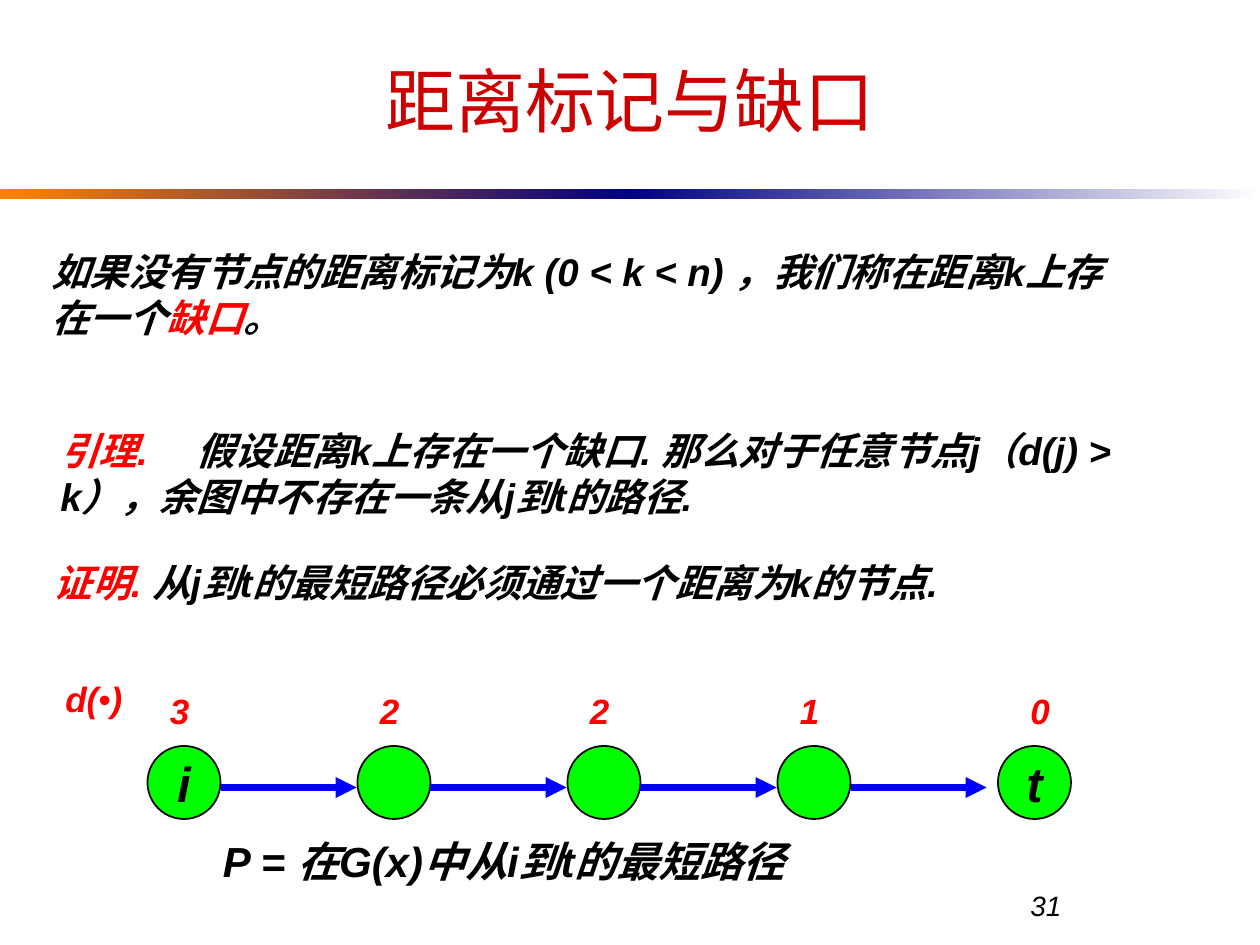
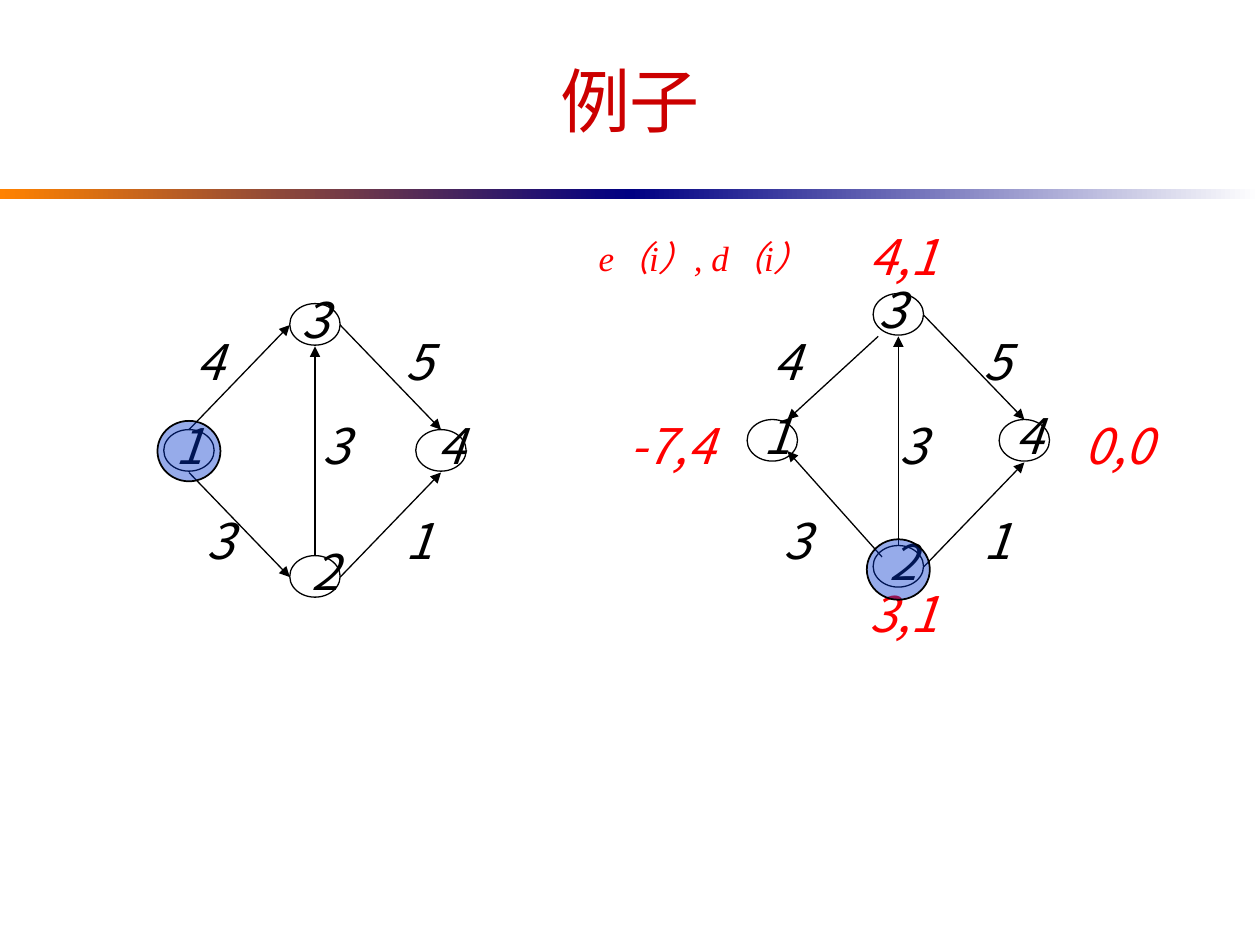
from lxml import etree
from pptx import Presentation
from pptx.dml.color import RGBColor
from pptx.enum.shapes import MSO_CONNECTOR, MSO_SHAPE
from pptx.enum.text import MSO_ANCHOR, PP_ALIGN
from pptx.oxml.ns import qn
from pptx.util import Inches, Pt

BLACK = RGBColor(0x00, 0x00, 0x00)
WHITE = RGBColor(0xFF, 0xFF, 0xFF)
RED = RGBColor(0xFF, 0x00, 0x00)
TITLE_RED = RGBColor(0xCC, 0x00, 0x00)
ORANGE = RGBColor(0xFF, 0x82, 0x00)
NAVY = RGBColor(0x00, 0x00, 0x82)
GREEN = RGBColor(0x00, 0xFF, 0x00)
BLUE = RGBColor(0x00, 0x00, 0xFF)
ACTIVE_BLUE = RGBColor(0x00, 0x33, 0xCC)

LATIN = "Arial"
CJK = "Noto Sans CJK SC"
SERIF = "Times New Roman"

SHARED_EDGES = [((0.2, 1), (1, 0.17)), ((0.2, -1), (1, -0.17)), ((0, 0.83), (0, -0.83))]
CAPACITIES = [("4", 1.42, 2.58), ("5", 3.08, 2.58), ("3", 1.5, 4), ("1", 3.08, 4), ("3", 2.42, 3.25)]


def add_run(paragraph, text, size, color=BLACK, bold=False, italic=True, face=LATIN):
    """Append one formatted run to a paragraph."""
    run = paragraph.add_run()
    run.text = text
    font = run.font
    font.size, font.bold, font.italic, font.name = Pt(size), bold, italic, face
    font.color.rgb = color
    east_asian = etree.SubElement(run.font._element, qn("a:ea"))
    east_asian.set("typeface", CJK)


def add_text(slide, left, top, width, height, runs, size, align=PP_ALIGN.LEFT,
             anchor=MSO_ANCHOR.TOP, tab=None, **style):
    """Place a wrapped text box holding one paragraph of (text, overrides) runs."""
    box = slide.shapes.add_textbox(Inches(left), Inches(top), Inches(width), Inches(height))
    frame = box.text_frame
    frame.word_wrap = True
    frame.vertical_anchor = anchor
    paragraph = frame.paragraphs[0]
    paragraph.alignment = align
    if tab:
        stops = etree.SubElement(paragraph._p.get_or_add_pPr(), qn("a:tabLst"))
        etree.SubElement(stops, qn("a:tab"), pos=str(Inches(tab)), algn="l")
    for text, overrides in runs:
        add_run(paragraph, text, size, **{**style, **overrides})


def add_band(slide, left, start, end):
    """Draw one half of the gradient rule below the title."""
    band = slide.shapes.add_shape(MSO_SHAPE.RECTANGLE, Inches(left), Inches(1.5), Inches(5), Inches(0.08))
    band.shadow.inherit = False
    band.line.fill.background()
    band.fill.gradient()
    band.fill.gradient_angle = 0
    for stop, color, position in zip(band.fill.gradient_stops, (start, end), (0, 1)):
        stop.color.rgb = color
        stop.position = position


def add_titled_slide(prs, title):
    """Add a blank slide with the shared rule and title."""
    slide = prs.slides.add_slide(prs.slide_layouts[6])
    add_band(slide, 0, ORANGE, NAVY)
    add_band(slide, 5, NAVY, WHITE)
    add_text(slide, 0.5, 0.25, 9, 1.08, [(title, {})], 40, PP_ALIGN.CENTER,
             MSO_ANCHOR.MIDDLE, color=TITLE_RED, italic=False)
    return slide


def add_node(slide, left, top, width, height, fill, line_width, label="", alpha=None):
    """Draw a graph node, optionally labelled or translucent."""
    node = slide.shapes.add_shape(MSO_SHAPE.OVAL, Inches(left), Inches(top), Inches(width), Inches(height))
    node.shadow.inherit = False
    node.fill.solid()
    node.fill.fore_color.rgb = fill
    node.line.color.rgb = BLACK
    node.line.width = Pt(line_width)
    if alpha:
        color = node._element.spPr.find(qn("a:solidFill"))[0]
        etree.SubElement(color, qn("a:alpha"), val=str(alpha * 1000))
    if label:
        frame = node.text_frame
        frame.word_wrap = False
        frame.vertical_anchor = MSO_ANCHOR.MIDDLE
        frame.paragraphs[0].alignment = PP_ALIGN.CENTER
        add_run(frame.paragraphs[0], label, 28, bold=True)


def add_arrow(slide, start, end, color, width):
    """Draw a straight arrow between two points in inches."""
    arrow = slide.shapes.add_connector(MSO_CONNECTOR.STRAIGHT, *map(Inches, (*start, *end)))
    arrow.line.color.rgb = color
    arrow.line.width = Pt(width)
    etree.SubElement(arrow.line._get_or_add_ln(), qn("a:tailEnd"), type="triangle")
    etree.SubElement(arrow._element.spPr, qn("a:effectLst"))


def add_number(slide, text, left, top, width=0.5, color=BLACK):
    """Place a centred graph number."""
    add_text(slide, left, top, width, 0.57, [(text, {})], 28, PP_ALIGN.CENTER, color=color, face=CJK)


def add_diamond_graph(slide, center, edges, node_numbers, capacity_shift):
    """Draw a four-node diamond with its edges, node numbers and capacities."""
    center_x, center_y = center
    for dx, dy in ((0, -1), (-1, 0), (1, 0), (0, 1)):
        add_node(slide, center_x + dx - 0.2, center_y + dy - 0.17, 0.4, 0.33, WHITE, 0.75)
    for edge in SHARED_EDGES + edges:
        start, end = [(center_x + dx, center_y + dy) for dx, dy in edge]
        add_arrow(slide, start, end, BLACK, 0.75)
    for number, left, top in node_numbers:
        add_number(slide, number, left, top)
    for capacity, left, top in CAPACITIES:
        add_number(slide, capacity, left + capacity_shift, top)


def build_gap_slide(prs):
    """Build the slide on distance labels and gaps."""
    slide = add_titled_slide(prs, "距离标记与缺口")
    red = {"color": RED}
    add_text(slide, 8.08, 7, 1.92, 0.5, [("31", {})], 16)
    add_text(slide, 0.31, 1.92, 8.83, 0.84,
             [("如果没有节点的距离标记为k (0 < k < n) ，我们称在距离k上存在一个", {}),
              ("缺口", red), ("。", {})], 22, bold=True)
    add_text(slide, 0.38, 3.34, 8.65, 0.84,
             [("引理.\t", red),
              ("假设距离k上存在一个缺口. 那么对于任意节点j（d(j) > k），余图中不存在一条从j到t的路径.", {})],
             22, tab=1.08, bold=True)
    add_text(slide, 0.33, 4.39, 8.83, 0.47,
             [("证明. ", red), ("从j到t的最短路径必须通过一个距离为k的节点.", {})], 22, bold=True)

    node_lefts = [1.17 + 5 / 3 * step for step in range(4)] + [7.92]
    label_lefts = [left + 0.08 for left in node_lefts[:4]] + [8.08]
    for left, label_left, name, distance in zip(node_lefts, label_lefts, ["i", "", "", "", "t"], "32210"):
        add_node(slide, left, 5.92, 0.58, 0.58, GREEN, 1, name)
        add_text(slide, label_left, 5.42, 0.42, 0.44, [(distance, red)], 20, bold=True)
    for left in node_lefts[:4]:
        add_arrow(slide, (left + 0.58, 6.25), (left + 1.66, 6.25), BLUE, 4)
    add_text(slide, 0.42, 5.33, 1.17, 0.44,
             [("d(", {}), ("•", {"bold": False}), (")", {})], 20, color=RED, bold=True)
    add_text(slide, 1.67, 6.58, 6.5, 0.5, [("P = 在G(x)中从i到t的最短路径", {})], 24, bold=True)


def build_example_slide(prs):
    """Build the slide with the network and its residual graph."""
    slide = add_titled_slide(prs, "例子")
    add_diamond_graph(
        slide, (2.5, 3.58), [((-1, -0.17), (-0.2, -1)), ((-1, 0.17), (-0.2, 1))],
        [("1", 1.25, 3.25), ("2", 2.33, 4.25), ("3", 2.25, 2.25), ("4", 3.33, 3.25)], 0)
    add_diamond_graph(
        slide, (7.13, 3.5), [((-0.16, -0.83), (-0.88, -0.17)), ((-0.13, 0.92), (-0.88, 0.08))],
        [("1", 5.92, 3.17), ("2", 6.92, 4.17), ("3", 6.83, 2.17), ("4", 7.92, 3.17)], 4.58)
    for excess_and_distance, left, top, width in (
            ("3,1", 6.67, 4.58, 1), ("4,1", 6.67, 1.75, 1),
            ("-7,4", 4.75, 3.25, 1.17), ("0,0", 8.42, 3.25, 0.92)):
        add_number(slide, excess_and_distance, left, top, width, RED)
    add_text(slide, 4, 1.83, 3.17, 0.44, [("e（i）, d（i）", {})], 20, PP_ALIGN.CENTER, color=RED, face=SERIF)
    for left, top in ((1.25, 3.34), (6.88, 4.28)):
        add_node(slide, left, top, 0.5, 0.48, ACTIVE_BLUE, 1, alpha=41)


def main():
    """Build and save the presentation."""
    prs = Presentation()
    prs.slide_width, prs.slide_height = Inches(10), Inches(7.5)
    build_gap_slide(prs)
    build_example_slide(prs)
    prs.save("out.pptx")


if __name__ == "__main__":
    main()
